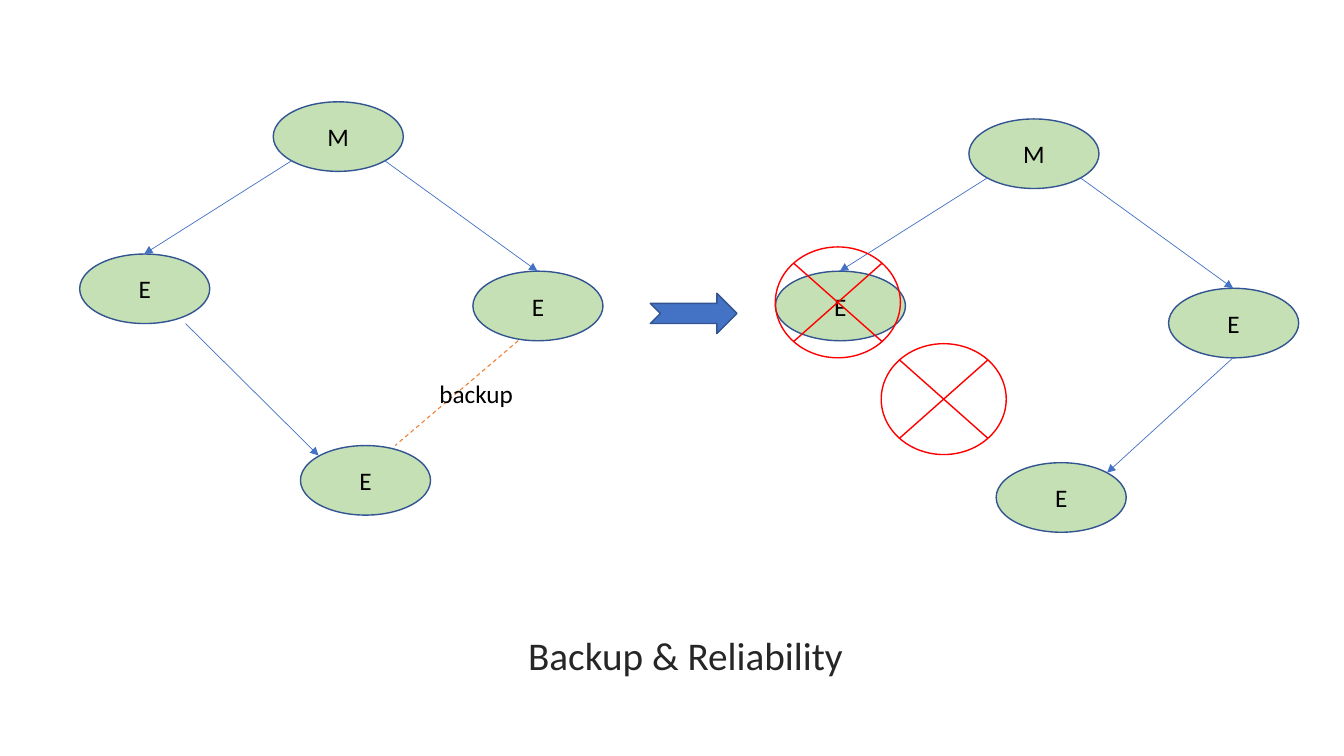
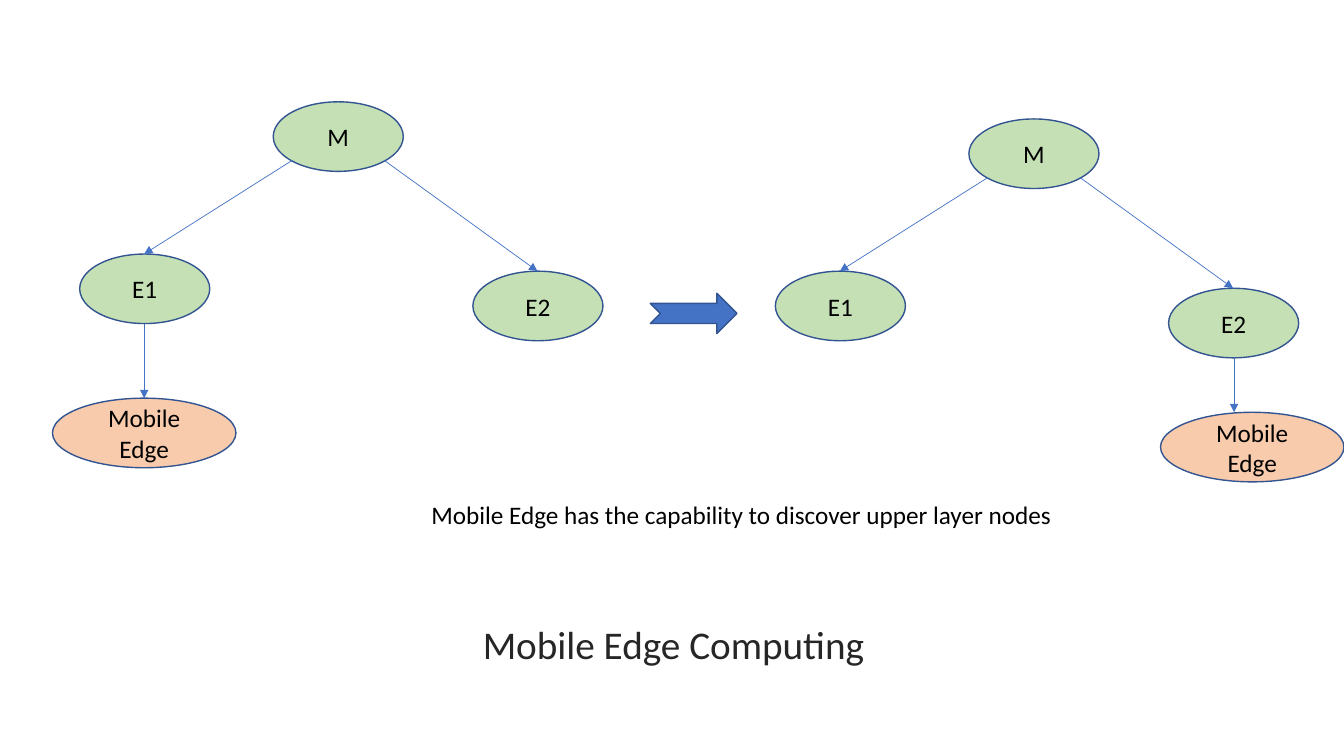
from lxml import etree
from pptx import Presentation
from pptx.dml.color import RGBColor
from pptx.enum.dml import MSO_LINE
from pptx.enum.shapes import MSO_CONNECTOR, MSO_SHAPE
from pptx.enum.text import MSO_ANCHOR, MSO_AUTO_SIZE, PP_ALIGN
from pptx.oxml.ns import qn
from pptx.util import Inches, Pt

# Shared look
COLORS = {"node": "C5E0B4", "mobile": "F8CBAD", "outline": "325491", "blue": "4472C4",
          "backup": "ED7D31", "failed": "FF0000", "text": "000000", "title": "262626"}
COLORS = {name: RGBColor.from_string(value) for name, value in COLORS.items()}
FONT = "Calibri"
NODE_WIDTH, NODE_HEIGHT = 1.29, 0.69
TREE_ORIGINS = [(0, 0), (6.9, 0.17)]
ARROW = {"color": "blue", "width": 0.5, "head": True}
BACKUP_LINK = {"color": "backup", "width": 0.75, "dash": MSO_LINE.DASH}


def add_figure(slide, kind, box, fill=None, outline="outline", text=None):
    shape = slide.shapes.add_shape(kind, *map(Inches, box))
    shape.shadow.inherit = False
    shape.line.color.rgb = COLORS[outline]
    shape.line.width = Pt(1)
    if fill:
        shape.fill.solid()
        shape.fill.fore_color.rgb = COLORS[fill]
    else:
        shape.fill.background()
    if text:
        shape.text_frame.vertical_anchor = MSO_ANCHOR.MIDDLE
        paragraph = shape.text_frame.paragraphs[0]
        paragraph.alignment = PP_ALIGN.CENTER
        paragraph.text = text
        for name, value in {"name": FONT, "size": Pt(18)}.items():
            setattr(paragraph.font, name, value)
        paragraph.font.color.rgb = COLORS["text"]


def add_link(slide, start, end, color, width, dash=None, head=False):
    link = slide.shapes.add_connector(MSO_CONNECTOR.STRAIGHT, *map(Inches, start + end))
    link.line.color.rgb = COLORS[color]
    link.line.width = Pt(width)
    if dash:
        link.line.dash_style = dash
    properties = link._element.spPr
    if head:
        etree.SubElement(properties.find(qn("a:ln")), qn("a:tailEnd"), type="triangle")
    etree.SubElement(properties, qn("a:effectLst"))


# What differs between the slides
SLIDES = [
    {
        "children": ("E", "E"),
        "nodes": [("E", "node", (2.98, 4.42), NODE_WIDTH), ("E", "node", (9.88, 4.59), NODE_WIDTH)],
        "links": [((1.84, 3.21), (3.16, 4.52), ARROW),
                  ((5.14, 3.38), (3.92, 4.42), BACKUP_LINK),
                  ((12.24, 3.54), (10.98, 4.69), ARROW)],
        "failures": [(7.69, 2.45), (8.74, 3.41)],
        "texts": [("backup", (4.26, 3.7, 0.94, 0.4), 18, "text", False),
                  ("Backup & Reliability", (5.14, 6.21, 4.2, 0.57), 28, "title", True)],
    },
    {
        "children": ("E1", "E2"),
        "nodes": [("Mobile Edge", "mobile", (0.52, 3.95), 1.82),
                  ("Mobile Edge", "mobile", (11.51, 4.09), 1.82)],
        "links": [((1.43, 3.21), (1.43, 3.95), ARROW), ((12.24, 3.54), (12.24, 4.09), ARROW)],
        "failures": [],
        "texts": [("Mobile Edge has the capability to discover upper layer nodes",
                   (4.18, 4.9, 6.43, 0.4), 18, "text", False),
                  ("Mobile Edge Computing", (4.69, 6.1, 4.2, 0.57), 28, "title", True)],
    },
]

presentation = Presentation()
presentation.slide_width, presentation.slide_height = Inches(13.33), Inches(7.5)

for content in SLIDES:
    slide = presentation.slides.add_slide(presentation.slide_layouts[6])

    # Master node with two edge nodes, before and after
    left_child, right_child = content["children"]
    for dx, dy in TREE_ORIGINS:
        for label, x, y in [("M", 2.71, 1.01), (left_child, 0.79, 2.52), (right_child, 4.69, 2.69)]:
            add_figure(slide, MSO_SHAPE.FLOWCHART_CONNECTOR,
                       (x + dx, y + dy, NODE_WIDTH, NODE_HEIGHT), "node", text=label)
        for x, child_x, child_y in [(2.9, 1.43, 2.52), (3.81, 5.33, 2.69)]:
            add_link(slide, (x + dx, 1.59 + dy), (child_x + dx, child_y + dy), **ARROW)

    # Lower nodes and their links
    for label, fill, (x, y), width in content["nodes"]:
        add_figure(slide, MSO_SHAPE.FLOWCHART_CONNECTOR, (x, y, width, NODE_HEIGHT), fill, text=label)
    for start, end, style in content["links"]:
        add_link(slide, start, end, **style)

    # Failure marks and the transition arrow
    for x, y in content["failures"]:
        add_figure(slide, MSO_SHAPE.FLOWCHART_SUMMING_JUNCTION, (x, y, 1.24, 1.1), outline="failed")
    add_figure(slide, MSO_SHAPE.NOTCHED_RIGHT_ARROW, (6.45, 2.91, 0.86, 0.4), "blue")

    # Captions and title
    for text, box, size, color, wrap in content["texts"]:
        frame = slide.shapes.add_textbox(*map(Inches, box)).text_frame
        frame.word_wrap = wrap
        frame.auto_size = MSO_AUTO_SIZE.SHAPE_TO_FIT_TEXT
        paragraph = frame.paragraphs[0]
        paragraph.text = text
        for name, value in {"name": FONT, "size": Pt(size)}.items():
            setattr(paragraph.font, name, value)
        paragraph.font.color.rgb = COLORS[color]

presentation.save("out.pptx")
